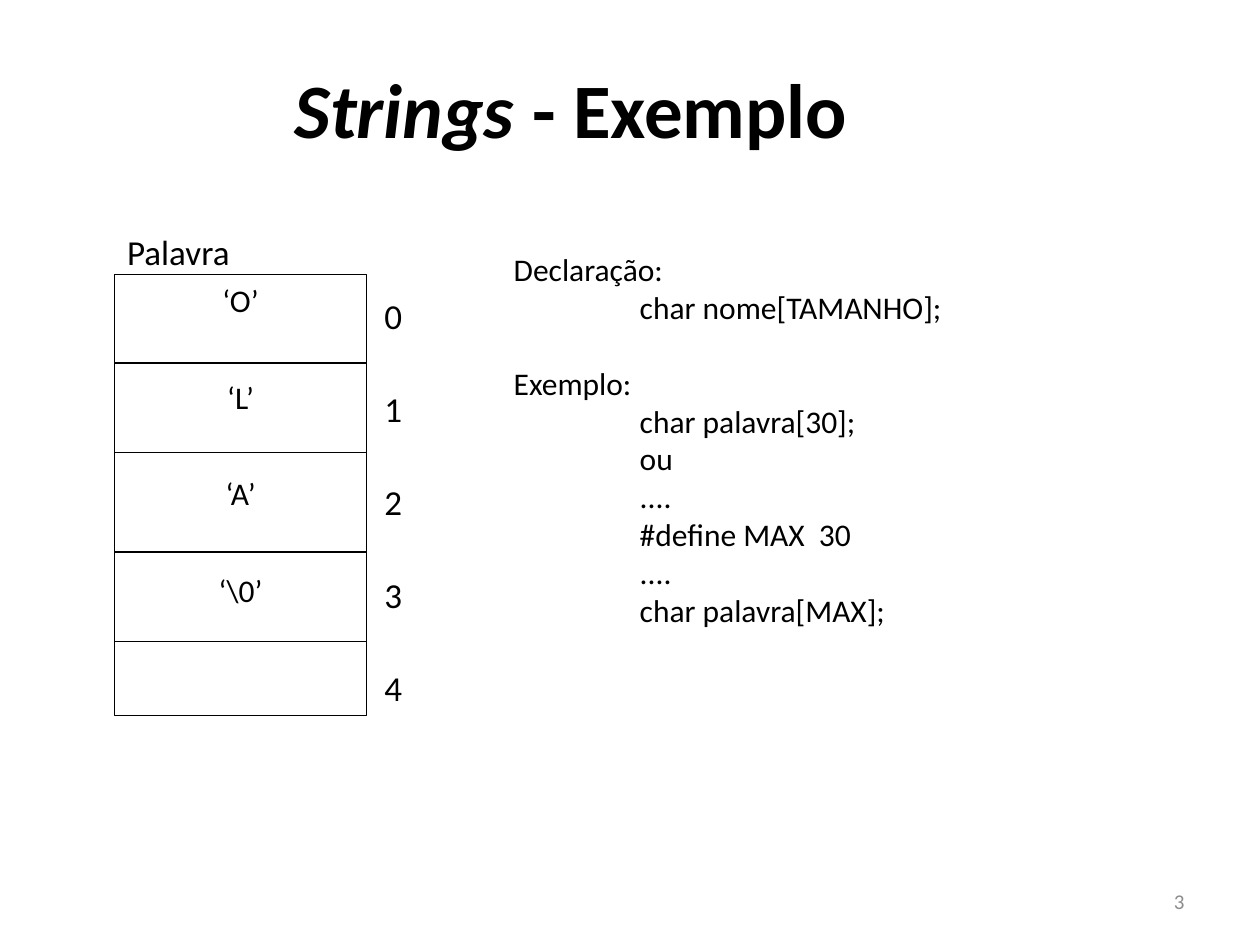
from lxml.etree import SubElement
from pptx import Presentation
from pptx.dml.color import RGBColor
from pptx.enum.shapes import MSO_CONNECTOR, MSO_SHAPE
from pptx.enum.text import MSO_ANCHOR, PP_ALIGN
from pptx.oxml.ns import qn
from pptx.util import Pt

COLORS = {"ink": "000000", "number": "8C8C8C"}
CODE_INDENT = 72
CODE_LINE = 21.6


def write_lines(shape, lines, size, color="ink", align=PP_ALIGN.LEFT, gap=0, anchor=MSO_ANCHOR.TOP):
    frame = shape.text_frame
    frame.word_wrap = True
    frame.vertical_anchor = anchor
    for index, line in enumerate(lines):
        para = frame.paragraphs[0] if index == 0 else frame.add_paragraph()
        para.text = line
        para.alignment = align
        para.space_before = Pt(gap if index else 0)
        para.font.name = "Calibri"
        para.font.size = Pt(size)
        para.font.color.rgb = RGBColor.from_string(COLORS[color])
    return frame.paragraphs


def add_text(left, top, width, height, lines, size, **style):
    box = slide.shapes.add_textbox(Pt(left), Pt(top), Pt(width), Pt(height))
    return write_lines(box, lines, size, **style)


deck = Presentation()
deck.slide_width, deck.slide_height = Pt(720), Pt(540)
slide = deck.slides.add_slide(deck.slide_layouts[6])

title = add_text(19.5, 20, 613.5, 83, ["Strings"], 44, align=PP_ALIGN.CENTER, anchor=MSO_ANCHOR.MIDDLE)[0]
title.font.bold = True
title.runs[0].font.italic = True
title.add_run().text = " - Exemplo"

array_left, array_top, array_width, array_height = 65.5, 157, 144, 252
array = slide.shapes.add_shape(
    MSO_SHAPE.RECTANGLE, Pt(array_left), Pt(array_top), Pt(array_width), Pt(array_height)
)
array.shadow.inherit = False
array.fill.background()
array.line.color.rgb = RGBColor.from_string(COLORS["ink"])
array.line.width = Pt(0.75)
write_lines(array, ["‘O’", "‘L’", "‘A’", "‘\\0’"], 18, align=PP_ALIGN.CENTER, gap=33.6)

for divider_top in (207.5, 258.5, 315.5, 366.5):
    divider = slide.shapes.add_connector(
        MSO_CONNECTOR.STRAIGHT, Pt(array_left), Pt(divider_top),
        Pt(array_left + array_width), Pt(divider_top)
    )
    divider.line.color.rgb = RGBColor.from_string(COLORS["ink"])
    divider.line.width = Pt(0.75)
    SubElement(divider._element.spPr, qn("a:effectLst"))

for para in add_text(212.5, 145.5, 42, 327, [str(index) for index in range(5)], 20, gap=10):
    para.line_spacing = 1.8

add_text(array_left, 128, 156, 31, ["Palavra"], 20)

code_lines = [
    "Declaração:",
    "char nome[TAMANHO];",
    "Exemplo:",
    "char palavra[30];",
    "ou",
    "....",
    "#define MAX  30",
    "....",
    "char palavra[MAX];",
]
for para in add_text(286.5, 139.5, 380, 294.5, code_lines, 18):
    if not para.text.endswith(":"):
        para._p.get_or_add_pPr().set("marL", str(Pt(CODE_INDENT)))
    elif para.text == "Exemplo:":
        para.space_before = Pt(CODE_LINE)

add_text(516, 500.5, 168, 28.5, ["3"], 12, color="number", align=PP_ALIGN.RIGHT, anchor=MSO_ANCHOR.MIDDLE)

deck.save("out.pptx")
